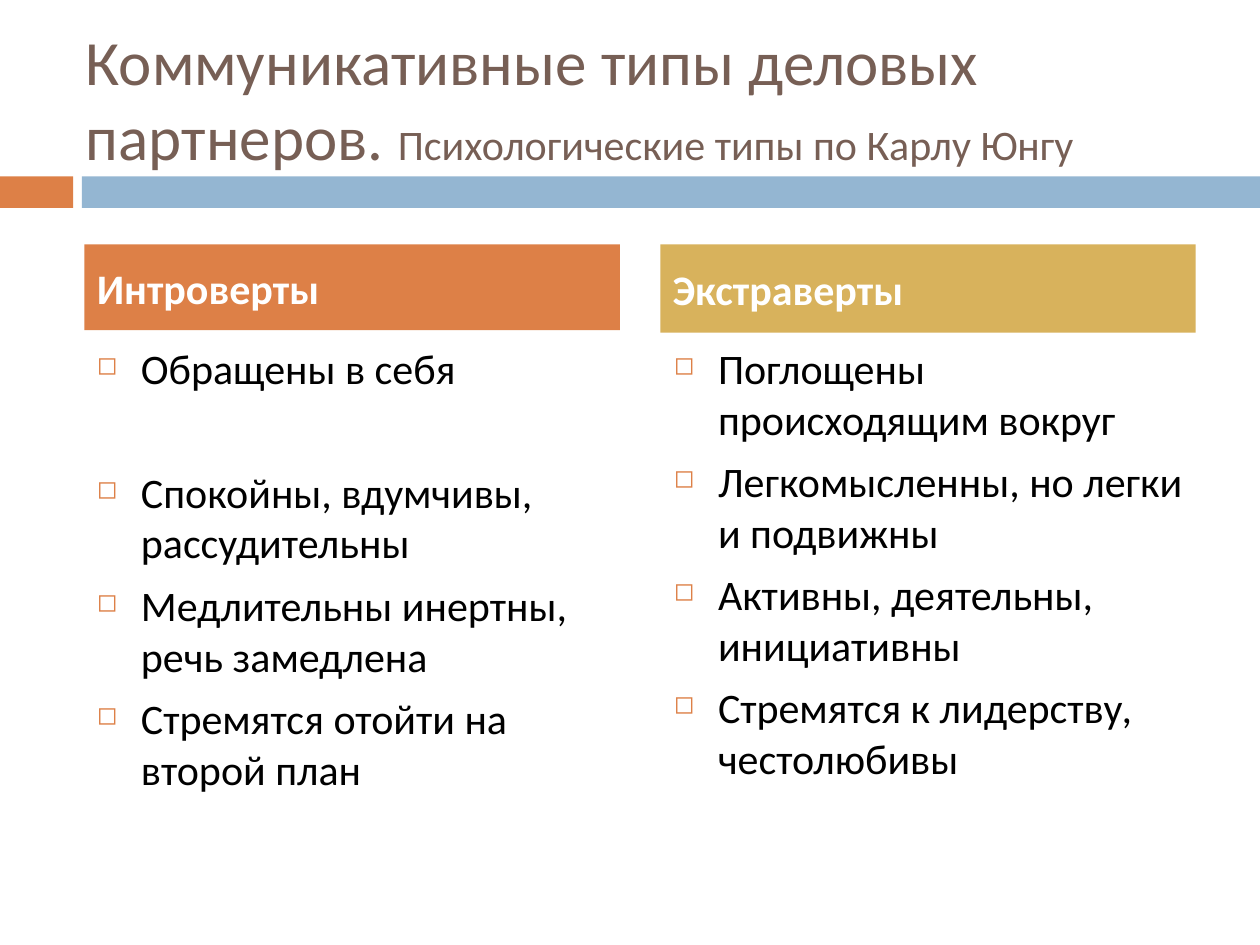
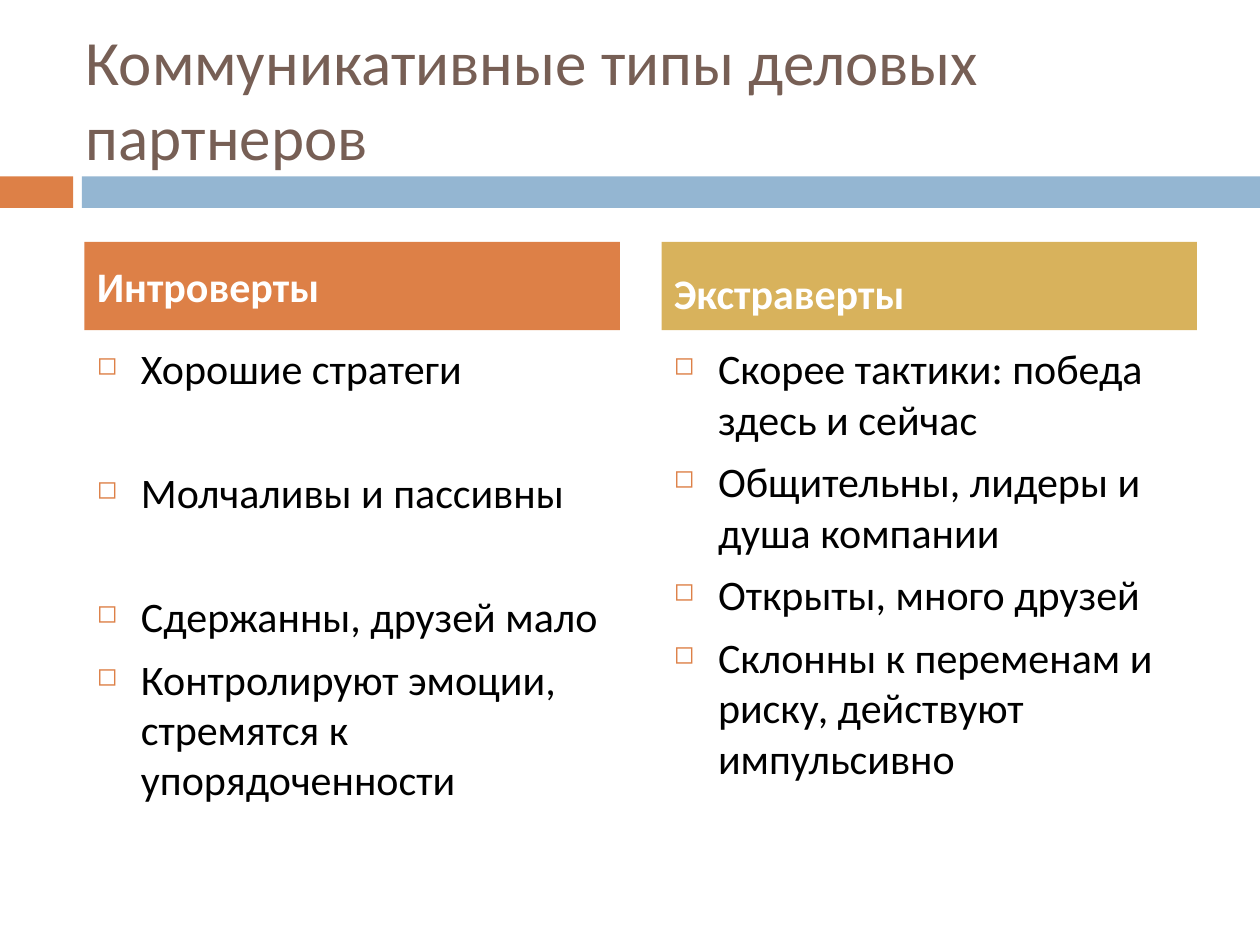
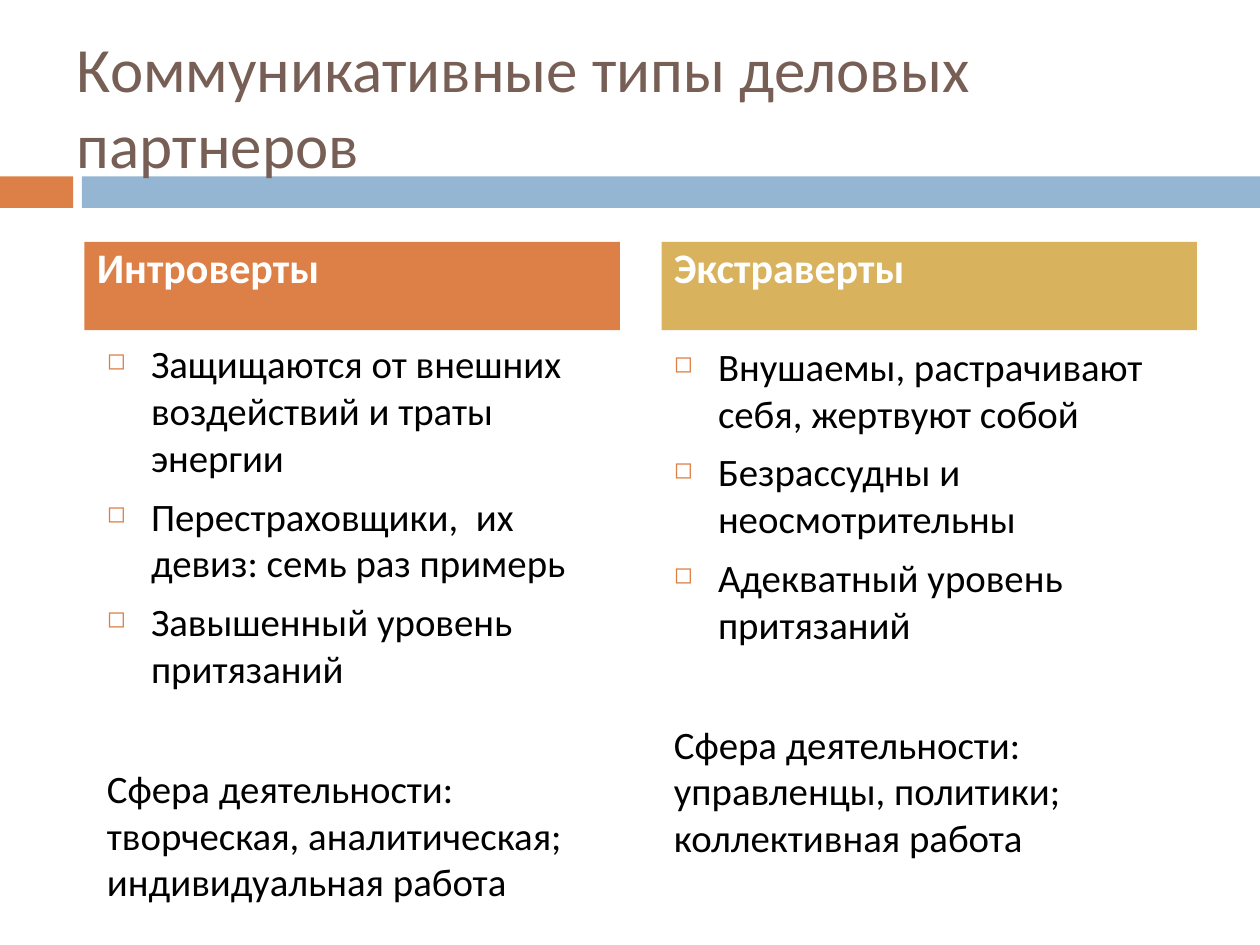
from dataclasses import dataclass

from lxml.etree import SubElement
from pptx import Presentation
from pptx.dml.color import RGBColor
from pptx.enum.shapes import MSO_SHAPE
from pptx.enum.text import MSO_ANCHOR, MSO_AUTO_SIZE, PP_ALIGN
from pptx.oxml.ns import qn
from pptx.util import Inches, Pt

ORANGE = RGBColor(0xDD, 0x80, 0x47)
BLUE = RGBColor(0x94, 0xB6, 0xD2)
GOLD = RGBColor(0xD8, 0xB2, 0x5C)
BROWN = RGBColor(0x77, 0x5F, 0x55)
BLACK = RGBColor(0x00, 0x00, 0x00)
WHITE = RGBColor(0xFF, 0xFF, 0xFF)

FONT = "Calibri"
TITLE = "Коммуникативные типы деловых партнеров"
COLUMN_WIDTH = 4.25
LEFT_COLUMN = 0.67
RIGHT_COLUMN = 5.25
SPACE_BEFORE = 7
WIDE_SPACE_BEFORE = 42


@dataclass
class Item:
    """One paragraph of a column."""

    text: str
    bulleted: bool = True
    wide_gap: bool = False


def add_run(paragraph, text, size, color, bold=False):
    """Append a formatted run to a paragraph."""
    run = paragraph.add_run()
    run.text = text
    run.font.name = FONT
    run.font.size = Pt(size)
    run.font.bold = bold
    run.font.color.rgb = color


def add_rectangle(slide, left, top, width, height, color):
    """Add a plain filled rectangle."""
    shape = slide.shapes.add_shape(
        MSO_SHAPE.RECTANGLE, Inches(left), Inches(top), Inches(width), Inches(height)
    )
    shape.shadow.inherit = False
    shape.fill.solid()
    shape.fill.fore_color.rgb = color
    shape.line.fill.background()
    return shape


def move_bands_to_layout(slide):
    """Draw the two title bands and hand them to the shared layout."""
    layout = slide.slide_layout
    for placeholder in list(layout.placeholders):
        if placeholder.placeholder_format.idx != 0:
            layout.shapes.element.remove(placeholder.element)
    for left, width, color in ((0, 0.58, ORANGE), (0.65, 9.35, BLUE)):
        band = add_rectangle(slide, left, 1.4, width, 0.25, color)
        layout.shapes.element.append(band.element)


def set_title(slide, runs, left=0.58, top=0.3):
    """Place the title and fill it with (text, size) runs."""
    title = slide.shapes.title
    title.left, title.top = Inches(left), Inches(top)
    title.width, title.height = Inches(8.92), Inches(0.95)
    frame = title.text_frame
    frame.auto_size = MSO_AUTO_SIZE.NONE
    frame.vertical_anchor = MSO_ANCHOR.MIDDLE
    paragraph = frame.paragraphs[0]
    paragraph.alignment = PP_ALIGN.LEFT
    for text, size in runs:
        add_run(paragraph, text, size, BROWN)


def add_header(slide, text, left, color, top=1.92, height=0.7,
               anchor=MSO_ANCHOR.MIDDLE, margin_top=0.05):
    """Add the coloured heading of a column."""
    header = add_rectangle(slide, left, top, COLUMN_WIDTH, height, color)
    frame = header.text_frame
    frame.word_wrap = True
    frame.vertical_anchor = anchor
    frame.margin_top = Inches(margin_top)
    paragraph = frame.paragraphs[0]
    paragraph.alignment = PP_ALIGN.LEFT
    add_run(paragraph, text, 24, WHITE, bold=True)


def add_bullet(paragraph):
    """Give a paragraph a hanging square bullet."""
    properties = paragraph._p.get_or_add_pPr()
    properties.set("marL", str(Inches(0.35)))
    properties.set("indent", str(-Inches(0.35)))
    color = SubElement(properties, qn("a:buClr"))
    SubElement(color, qn("a:srgbClr")).set("val", str(ORANGE))
    SubElement(properties, qn("a:buSzPct")).set("val", "60000")
    SubElement(properties, qn("a:buChar")).set("char", "◻")


def add_column(slide, items, left, top=2.67, size=24):
    """Add the list of a column."""
    box = slide.shapes.add_textbox(
        Inches(left), Inches(top), Inches(COLUMN_WIDTH), Inches(3.92)
    )
    frame = box.text_frame
    frame.word_wrap = True
    for index, item in enumerate(items):
        paragraph = frame.add_paragraph() if index else frame.paragraphs[0]
        paragraph.space_before = Pt(WIDE_SPACE_BEFORE if item.wide_gap else SPACE_BEFORE)
        if item.bulleted:
            add_bullet(paragraph)
        add_run(paragraph, item.text, size, BLACK)


def build_attitude_slide(slide):
    """Build the slide on attitude and temperament."""
    set_title(slide, [(TITLE + ". ", 36), ("Психологические типы по Карлу Юнгу", 24)])
    add_column(slide, [
        Item("Обращены в себя"),
        Item("Спокойны, вдумчивы, рассудительны", wide_gap=True),
        Item("Медлительны инертны, речь замедлена"),
        Item("Стремятся отойти на второй план"),
    ], LEFT_COLUMN)
    add_column(slide, [
        Item("Поглощены происходящим вокруг"),
        Item("Легкомысленны, но легки и подвижны"),
        Item("Активны, деятельны, инициативны"),
        Item("Стремятся к лидерству, честолюбивы"),
    ], RIGHT_COLUMN)
    add_header(slide, "Интроверты", LEFT_COLUMN, ORANGE, top=1.94, height=0.68)
    add_header(slide, "Экстраверты", 5.24, GOLD, top=1.94)


def build_behaviour_slide(slide):
    """Build the slide on strategy and company."""
    set_title(slide, [(TITLE, 36)])
    add_column(slide, [
        Item("Хорошие стратеги"),
        Item("Молчаливы и пассивны", wide_gap=True),
        Item("Сдержанны, друзей мало", wide_gap=True),
        Item("Контролируют эмоции, стремятся к упорядоченности"),
    ], LEFT_COLUMN)
    add_column(slide, [
        Item("Скорее тактики: победа здесь и сейчас"),
        Item("Общительны, лидеры и душа компании"),
        Item("Открыты, много друзей"),
        Item("Склонны к переменам и риску, действуют импульсивно"),
    ], RIGHT_COLUMN)
    add_header(slide, "Интроверты", LEFT_COLUMN, ORANGE)
    add_header(slide, "Экстраверты", RIGHT_COLUMN, GOLD, margin_top=0.16)


def build_occupation_slide(slide):
    """Build the slide on ambition and occupation."""
    set_title(slide, [(TITLE, 36)], left=0.51, top=0.36)
    add_column(slide, [
        Item("Защищаются от внешних воздействий и траты энергии"),
        Item("Перестраховщики,  их девиз: семь раз примерь"),
        Item("Завышенный уровень притязаний"),
        Item("Сфера деятельности: творческая, аналитическая; индивидуальная работа",
             bulleted=False, wide_gap=True),
    ], 0.75, top=2.65, size=22.2)
    add_column(slide, [
        Item("Внушаемы, растрачивают себя, жертвуют собой"),
        Item("Безрассудны и неосмотрительны"),
        Item("Адекватный уровень притязаний"),
        Item("Сфера деятельности: управленцы, политики; коллективная работа",
             bulleted=False, wide_gap=True),
    ], RIGHT_COLUMN, size=22.2)
    for text, left, color in (("Интроверты", LEFT_COLUMN, ORANGE),
                              ("Экстраверты", RIGHT_COLUMN, GOLD)):
        add_header(slide, text, left, color, anchor=MSO_ANCHOR.TOP, margin_top=0)


def main():
    """Build and save the presentation."""
    presentation = Presentation()
    presentation.slide_width = Inches(10)
    presentation.slide_height = Inches(7.5)
    layout = presentation.slide_layouts[5]
    builders = (build_attitude_slide, build_behaviour_slide, build_occupation_slide)
    for index, build in enumerate(builders):
        slide = presentation.slides.add_slide(layout)
        if index == 0:
            move_bands_to_layout(slide)
        build(slide)
    presentation.save("out.pptx")


main()
